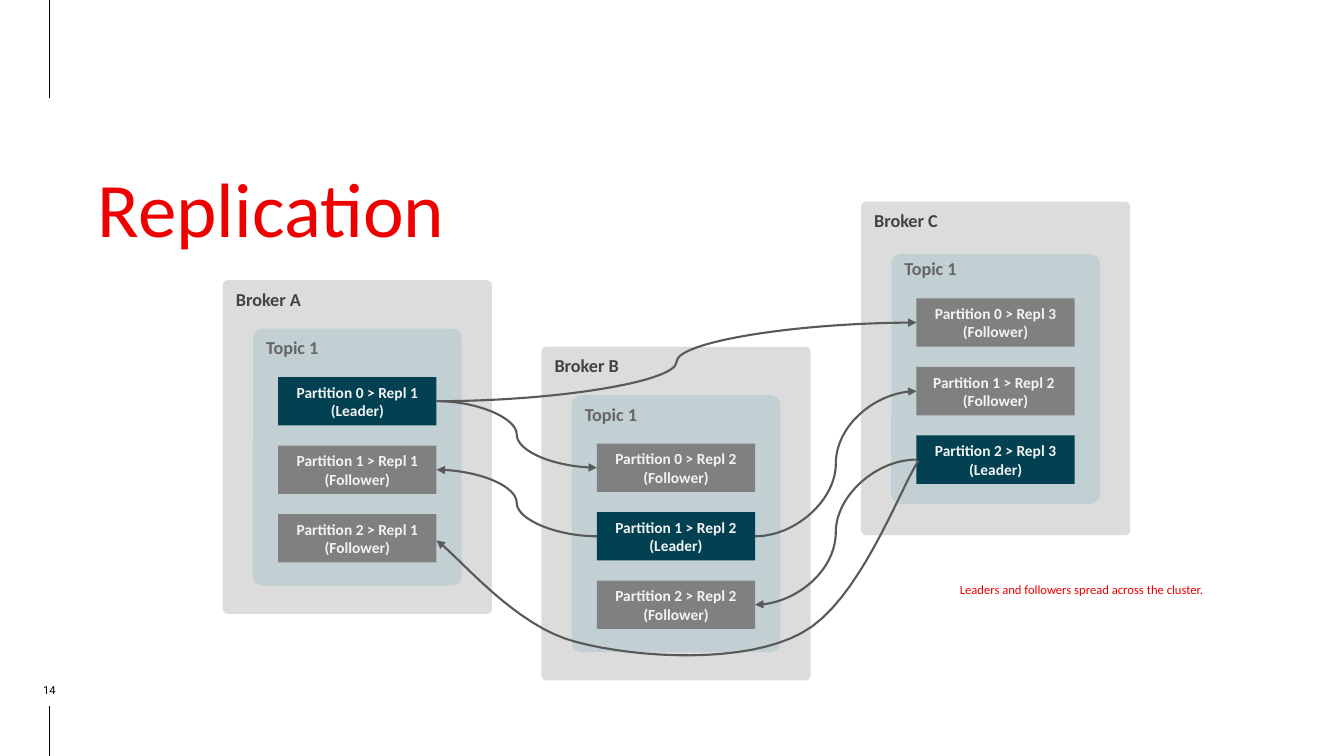
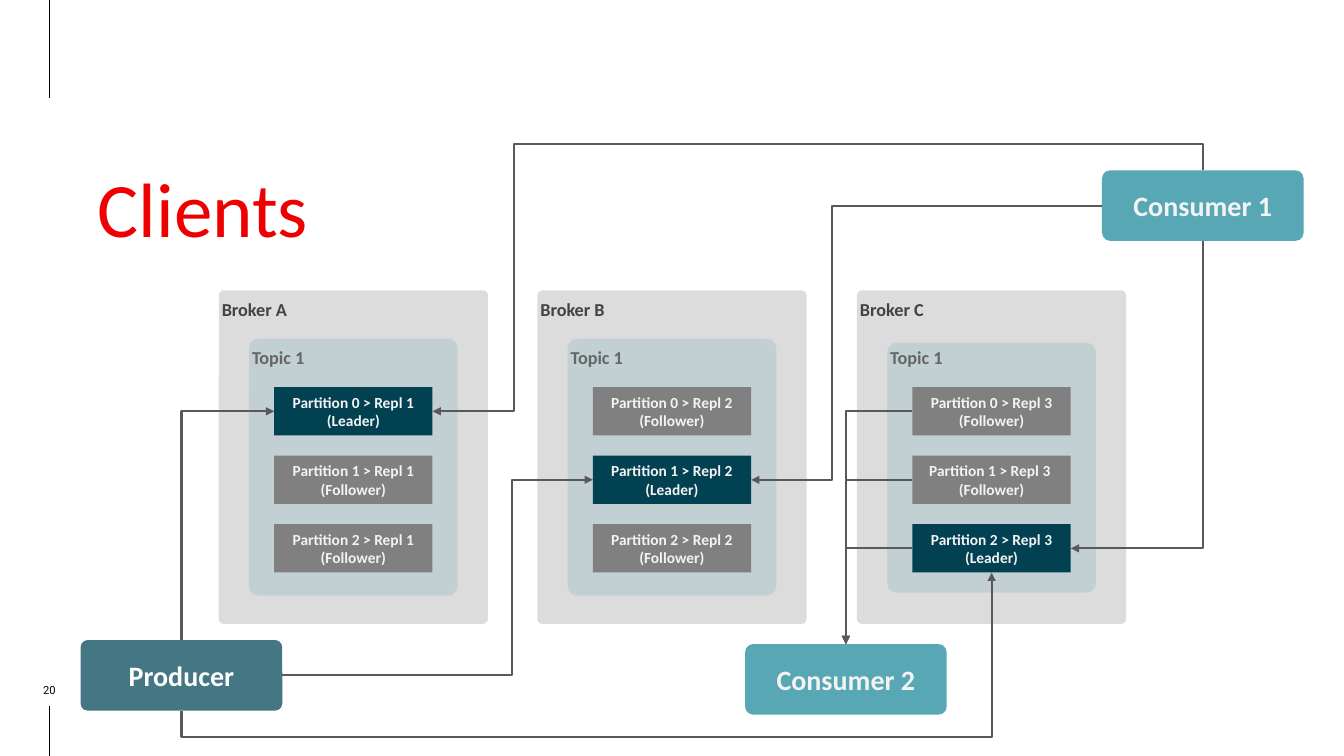
from lxml.etree import SubElement
from pptx import Presentation
from pptx.dml.color import RGBColor as RGB
from pptx.enum.shapes import MSO_CONNECTOR as CON, MSO_SHAPE as SHAPE
from pptx.enum.text import MSO_ANCHOR as ANCHOR, PP_ALIGN as ALIGN
from pptx.oxml.ns import qn
from pptx.util import Emu, Pt

PX = 9144
RED = RGB(0xEE, 0x00, 0x00)
BLACK = RGB(0x00, 0x00, 0x00)
WHITE = RGB(0xFF, 0xFF, 0xFF)
PALE = RGB(0xF3, 0xF3, 0xF3)
LIGHT = RGB(0xDC, 0xDC, 0xDC)
MIST = RGB(0xC2, 0xCF, 0xD3)
GREY = RGB(0x80, 0x80, 0x80)
SLATE = RGB(0x66, 0x66, 0x66)
WIRE = RGB(0x59, 0x59, 0x59)
DARK = RGB(0x43, 0x43, 0x43)
NAVY = RGB(0x01, 0x41, 0x52)
STEEL = RGB(0x44, 0x76, 0x83)
TEAL = RGB(0x57, 0xA7, 0xB5)
FONT = "Calibri"
TOP, LEFT, BOTTOM, RIGHT = range(4)
LOOP = [(911, 457), (892, 486), (852, 598), (795, 628), (739, 659),
        (632, 653), (572, 637), (511, 622), (456, 553), (433, 536)]


def px(*vals):
    """Turn px lengths into EMU."""
    return [Emu(round(v * PX)) for v in vals]


def write(shape, text, size, color, inset, bold=False, align=ALIGN.LEFT,
          anchor=ANCHOR.MIDDLE, font=FONT):
    """Set and format the text of a shape."""
    frame = shape.text_frame
    frame.text = text
    frame.word_wrap = True
    frame.vertical_anchor = anchor
    (frame.margin_left, frame.margin_top,
     frame.margin_right, frame.margin_bottom) = px(*inset)
    for para in frame.paragraphs:
        para.alignment = align
        for run in para.runs:
            run.font.size = Pt(size)
            run.font.name = font
            run.font.bold = bold
            run.font.color.rgb = color


def label(slide, box, *args, **style):
    """Add a text box."""
    write(slide.shapes.add_textbox(*px(*box)), *args, **style)


def block(slide, box, fill, round_by=0):
    """Add a filled box, rounded if asked."""
    kind = SHAPE.ROUNDED_RECTANGLE if round_by else SHAPE.RECTANGLE
    shape = slide.shapes.add_shape(kind, *px(*box))
    if round_by:
        shape.adjustments[0] = round_by
    shape.shadow.inherit = False
    shape.fill.solid()
    shape.fill.fore_color.rgb = fill
    shape.line.fill.background()
    return shape


def node(slide, box, fill, text, size, color=PALE, round_by=0):
    """Add a box with bold centred text."""
    shape = block(slide, box, fill, round_by)
    write(shape, text, size, color, (3, 13, 3, 13), True, ALIGN.CENTER)
    return shape


def stroke(shape, color, width, arrow=False):
    """Style a line and give it an arrowhead if asked."""
    shape.line.color.rgb = color
    shape.line.width = Pt(width)
    props = shape._element.spPr
    if arrow:
        SubElement(props.find(qn("a:ln")), qn("a:tailEnd"), type="triangle")
    if props.find(qn("a:effectLst")) is None:
        SubElement(props, qn("a:effectLst"))


def site(shape, side):
    """Return the middle of one side of a shape."""
    dx, dy = ((1, 0), (0, 1), (1, 2), (2, 1))[side]
    return shape.left + shape.width * dx // 2, shape.top + shape.height * dy // 2


def link(slide, start, out, end, into, kind, *bends):
    """Join two shapes with an arrow; bends are in thousandths."""
    (x1, y1), (x2, y2) = site(start, out), site(end, into)
    dx, dy = x2 - x1, y2 - y1
    wide, high = abs(dx), abs(dy)
    if out in (TOP, BOTTOM):
        wide, high = high, wide
        turn, flip = (90 if dy > 0 else 270), False
    else:
        turn, flip = (180 if dy < 0 else 0), (dx < 0) != (dy < 0)
    style = CON.CURVE if kind.startswith("curved") else CON.ELBOW
    wire = slide.shapes.add_connector(style, x1, y1, x2, y2)
    wire.begin_connect(start, out)
    wire.end_connect(end, into)
    wire.left, wire.top = Emu((x1 + x2 - wide) // 2), Emu((y1 + y2 - high) // 2)
    wire.width, wire.height = Emu(wide), Emu(high)
    props = wire._element.spPr
    form = props.find(qn("a:xfrm"))
    form.set("rot", str(turn * 60000))
    form.set("flipH", str(int(flip)))
    form.set("flipV", "0")
    geom = props.find(qn("a:prstGeom"))
    geom.set("prst", kind)
    for num, bend in enumerate(bends, 1):
        SubElement(geom.find(qn("a:avLst")), qn("a:gd"),
                   name=f"adj{num}", fmla=f"val {bend * 100}")
    stroke(wire, WIRE, 1.5, True)


def curve(slide, pts, steps=16):
    """Draw an arrow along a chain of cubic curves."""
    path = []
    for at in range(0, len(pts) - 1, 3):
        for step in range(1, steps + 1):
            t = step / steps
            parts = ((1 - t) ** 3, 3 * t * (1 - t) ** 2, 3 * t * t * (1 - t), t ** 3)
            path.append(px(*(sum(k * p[axis] for k, p in zip(parts, pts[at:at + 4]))
                             for axis in (0, 1))))
    pen = slide.shapes.build_freeform(*px(*pts[0]), scale=1.0)
    pen.add_line_segments(path, close=False)
    shape = pen.convert_to_shape()
    shape.shadow.inherit = False
    shape.fill.background()
    stroke(shape, WIRE, 1.5, True)


def broker(slide, x, y, name, lead, repls, inset):
    """Draw a broker and return its partition boxes."""
    drop, tall = (52, 248) if name == "C" else (48, 255)
    pad = (inset, 13, inset, 13)
    block(slide, (x, y, 267, 331), LIGHT, 0.019)
    block(slide, (x + 30, y + drop, 207, tall), MIST, 0.046)
    label(slide, (x, y + 7, 207, 23), f"Broker {name}", 13, DARK, pad, True)
    label(slide, (x + 30, y + 55, 207, 23), "Topic 1", 13, SLATE, pad, True)
    parts = []
    for num, repl in enumerate(repls):
        fill, role = (NAVY, "Leader") if num == lead else (GREY, "Follower")
        parts.append(node(slide, (x + 55, y + 96 + 68 * num, 157, 48), fill,
                          f"Partition {num} > Repl {repl}\n({role})", 11))
    return parts


def cluster(slide, x, tops, repls, inset):
    """Draw the three brokers side by side."""
    return [broker(slide, x + num * 633 // 2, top, "ABC"[num], num, repls[num], inset)
            for num, top in enumerate(tops)]


def base(deck, title, page):
    """Add a slide with margin lines, page number and title."""
    slide = deck.slides.add_slide(deck.slide_layouts[6])
    for y1, y2 in ((97, 0), (750, 700)):
        rule = slide.shapes.add_connector(CON.STRAIGHT, *px(49, y1, 49, y2))
        stroke(rule, BLACK, 0.75)
    label(slide, (9, 675, 80, 16), page, 8, BLACK, (0, 0, 0, 0),
          align=ALIGN.CENTER, anchor=ANCHOR.BOTTOM, font="Roboto")
    label(slide, (49, 149, 1235, 113), title, 55, RED, (48, 10, 10, 10),
          anchor=ANCHOR.TOP)
    return slide


def copies(deck):
    """Build the replication slide."""
    slide = base(deck, "Replication", "14")
    a, b, c = cluster(slide, 221, (278, 344, 200), ("111", "222", ("3", "2 ", "3")), 13)
    for start, out, end, into in (
            (a[0], RIGHT, b[0], LEFT), (a[0], RIGHT, c[0], LEFT),
            (b[1], LEFT, a[1], RIGHT), (b[1], RIGHT, c[1], LEFT),
            (c[2], LEFT, b[2], RIGHT)):
        link(slide, start, out, end, into, "curvedConnector3", 500)
    curve(slide, LOOP)
    label(slide, (952, 577, 267, 56), "Leaders and followers spread across the cluster.",
          9, RED, (0, 0, 0, 0), anchor=ANCHOR.TOP)


def clients(deck):
    """Build the clients slide."""
    slide = base(deck, "Clients", "20")
    a, b, c = cluster(slide, 217, (288,) * 3, ("111", "222", ("3", "3 ", "3")), 3)
    maker = node(slide, (80, 635, 200, 70), STEEL, "Producer", 20, WHITE, 0.099)
    one = node(slide, (1093, 169, 200, 70), TEAL, "Consumer 1", 20, round_by=0.116)
    two = node(slide, (739, 639, 200, 70), TEAL, "Consumer 2", 20, round_by=0.116)
    link(slide, maker, TOP, a[0], LEFT, "bentConnector2")
    link(slide, maker, RIGHT, b[1], LEFT, "bentConnector3", 740)
    link(slide, maker, BOTTOM, c[2], BOTTOM, "bentConnector3", -191)
    link(slide, one, BOTTOM, c[2], RIGHT, "bentConnector2")
    link(slide, one, LEFT, b[1], RIGHT, "bentConnector3", 770)
    link(slide, one, TOP, a[0], RIGHT, "bentConnector4", -109, 894)
    for part in c:
        link(slide, part, LEFT, two, TOP, "bentConnector2")


def main():
    """Build and save the deck."""
    deck = Presentation()
    deck.slide_width, deck.slide_height = px(1333, 750)
    copies(deck)
    clients(deck)
    deck.save("out.pptx")


if __name__ == "__main__":
    main()
